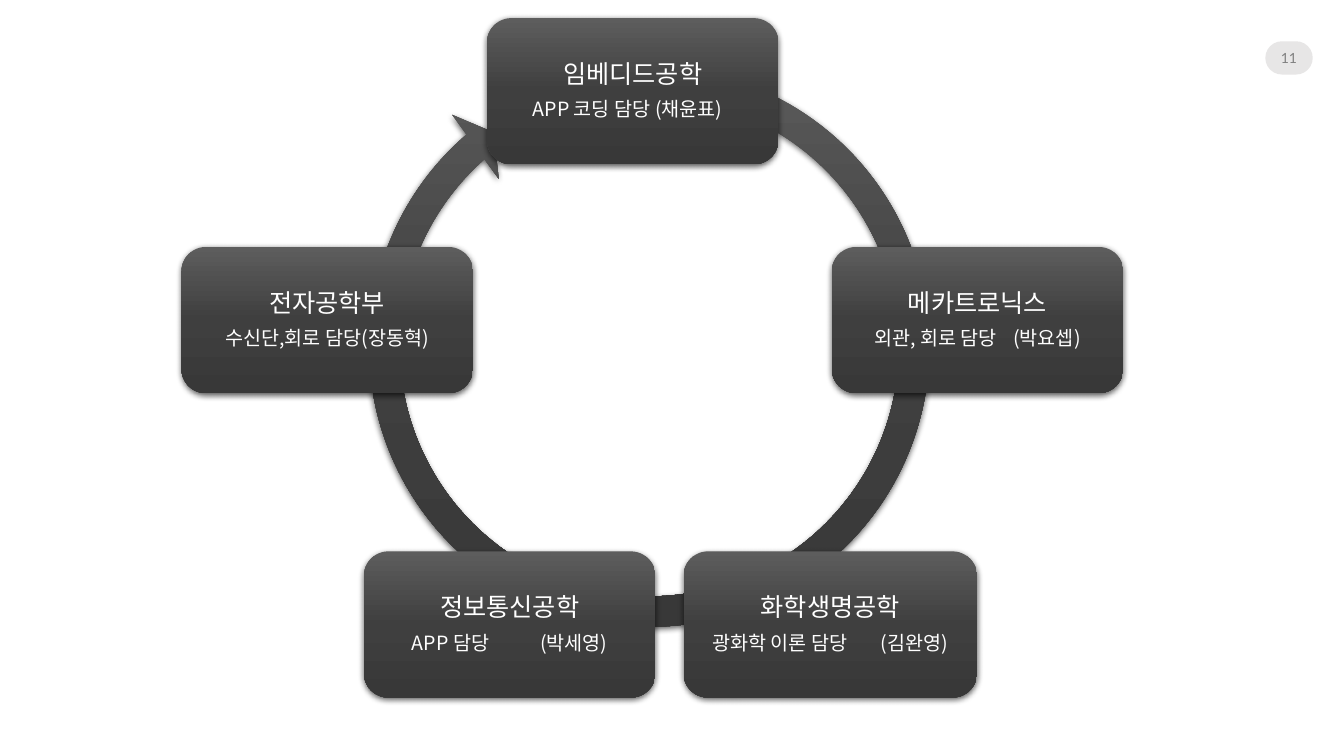
from pptx import Presentation
from pptx.dml.color import RGBColor
from pptx.enum.shapes import MSO_SHAPE
from pptx.enum.text import MSO_ANCHOR, PP_ALIGN
from pptx.oxml import parse_xml
from pptx.oxml.ns import nsdecls
from pptx.util import Emu, Inches, Pt

WHITE = RGBColor(0xFF, 0xFF, 0xFF)
PALE = RGBColor(0xE7, 0xE6, 0xE6)
GRAY = RGBColor(0x80, 0x80, 0x80)
BLACK = RGBColor(0, 0, 0)
TOP = RGBColor(0x5D, 0x5D, 0x5D)
MID = RGBColor(0x3F, 0x3F, 0x3F)
LOW = RGBColor(0x38, 0x38, 0x38)
FONT = "Noto Sans CJK SC"

# left, top, width, department, duty, member, extra gap before member (pt), right margin
TEAMS = [
    (4.83, 0.18, 2.89, "임베디드공학", "APP 코딩 담당", "(채윤표)", 0, 0.1),
    (8.25, 2.45, 2.89, "메카트로닉스", "외관, 회로 담당", "(박요셉)", 8.3, 0),
    (6.78, 5.47, 2.91, "화학생명공학", "광화학 이론 담당", "(김완영)", 20.8, 0),
    (3.61, 5.47, 2.89, "정보통신공학", "APP 담당", "(박세영)", 33.2, 0),
    (1.8, 2.45, 2.89, "전자공학부", "수신단,회로 담당", "(장동혁)", None, 0),
]
HIGH = 1.45


def add_dark(slide, kind, left, top, width, height):
    """Add a shape with the dark gradient and a soft shadow below it."""
    shape = slide.shapes.add_shape(
        kind, Inches(left), Inches(top), Inches(width), Inches(height))
    stops = "".join(
        f'<a:gs pos="{at}"><a:srgbClr val="{tone}"/></a:gs>'
        for at, tone in ((0, TOP), (50000, MID), (100000, LOW)))
    props = shape._element.spPr
    props.append(parse_xml(
        f'<a:gradFill {nsdecls("a")} rotWithShape="1"><a:gsLst>{stops}</a:gsLst>'
        '<a:lin ang="5400000" scaled="0"/></a:gradFill>'))
    shape.line.fill.background()
    props.append(parse_xml(
        f'<a:effectLst {nsdecls("a")}><a:outerShdw blurRad="{Pt(4.5)}" '
        f'dist="{Pt(1.5)}" dir="5400000" algn="ctr" rotWithShape="0">'
        f'<a:srgbClr val="{BLACK}"><a:alpha val="63000"/></a:srgbClr>'
        '</a:outerShdw></a:effectLst>'))
    return shape


def add_run(para, text, size):
    run = para.add_run()
    run.text = text
    run.font.size = Pt(size)
    run.font.name = FONT
    run.font.color.rgb = WHITE
    props = run.font._element
    props.append(parse_xml(f'<a:ea {nsdecls("a")} typeface="{FONT}"/>'))
    return props


def add_team(slide, left, top, width, name, duty, member, gap, margin):
    card = add_dark(slide, MSO_SHAPE.ROUNDED_RECTANGLE, left, top, width, HIGH)
    frame = card.text_frame
    frame.word_wrap = True
    frame.vertical_anchor = MSO_ANCHOR.MIDDLE
    head, body = frame.paragraphs[0], frame.add_paragraph()
    for para in (head, body):
        para.alignment = PP_ALIGN.CENTER
        para.line_spacing = 0.9
        para.space_after = Pt(8)
    add_run(head, name, 18)
    add_run(body, duty, 14)
    if gap is not None:
        add_run(body, " ", 14).set("spc", str(round(gap * 100)))
    add_run(body, member, 14)
    if margin:
        body._p.get_or_add_pPr().set("marR", str(Inches(margin)))


def add_cycle(slide):
    ring = add_dark(slide, MSO_SHAPE.CIRCULAR_ARROW, 3.42, 0.42, 6.04, 6.04)
    for index, value in enumerate((0.05, 3, 137.4, 166.8, 0.065)):
        ring.adjustments[index] = value
    for team in TEAMS:
        add_team(slide, *team)


def add_number(slide, left, top, width, height, text):
    """Add the page number on its pill; the label is 0.05 in taller each way."""
    pill = slide.shapes.add_shape(
        MSO_SHAPE.ROUNDED_RECTANGLE,
        Inches(left), Inches(top), Inches(width), Inches(height))
    pill.adjustments[0] = 0.5
    pill.fill.solid()
    pill.fill.fore_color.rgb = PALE
    pill.line.fill.background()
    pill.shadow.inherit = False
    label = slide.shapes.add_textbox(
        Inches(left), Inches(top - 0.05), Inches(width), Inches(height + 0.1))
    frame = label.text_frame
    frame.word_wrap = True
    frame.vertical_anchor = MSO_ANCHOR.MIDDLE
    frame.margin_left = frame.margin_right = Emu(0)
    frame.margin_top = frame.margin_bottom = Emu(0)
    frame.text = text
    para = frame.paragraphs[0]
    para.alignment = PP_ALIGN.CENTER
    font = para.runs[0].font
    font.name = "Lato"
    font.size = Pt(10)
    font.color.rgb = GRAY


def main():
    deck = Presentation()
    deck.slide_width, deck.slide_height = Inches(13.33), Inches(7.5)
    slide = deck.slides.add_slide(deck.slide_layouts[6])
    add_number(slide, 12.55, 0.41, 0.47, 0.33, "11")
    add_cycle(slide)
    deck.save("out.pptx")


if __name__ == "__main__":
    main()
